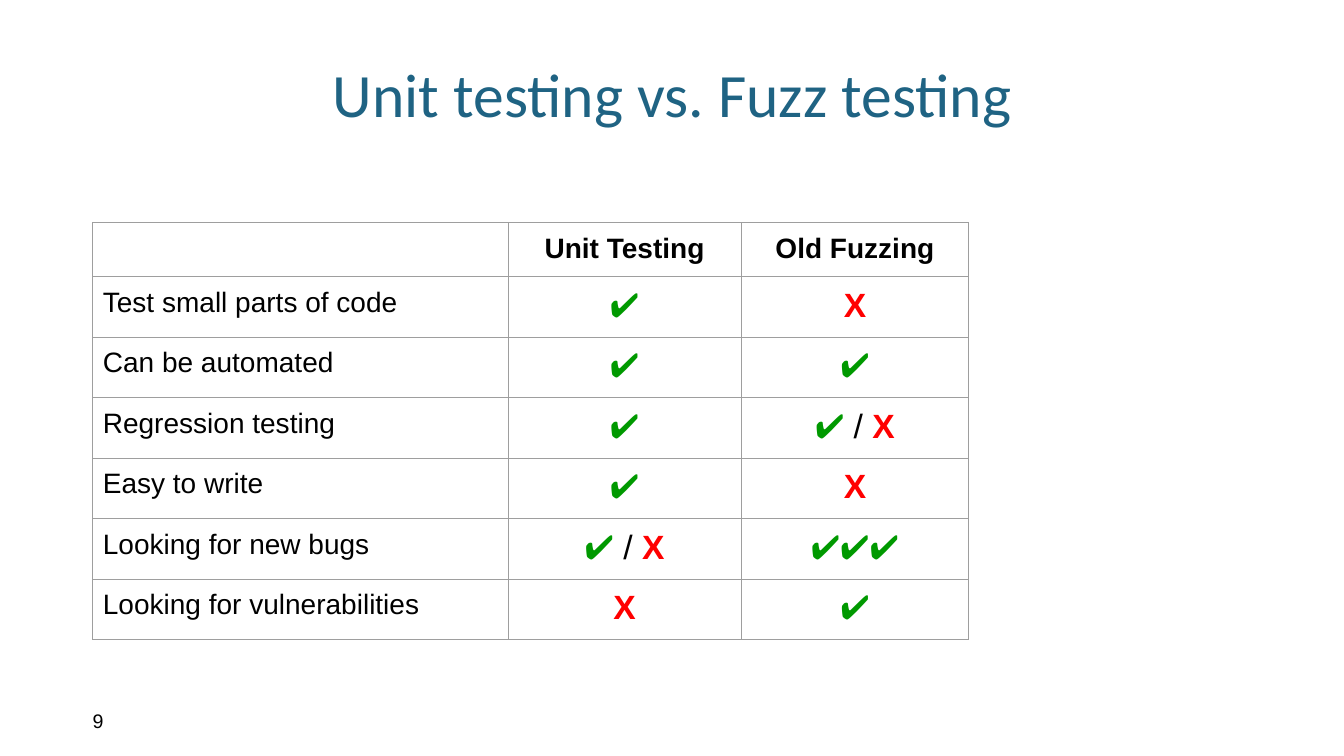
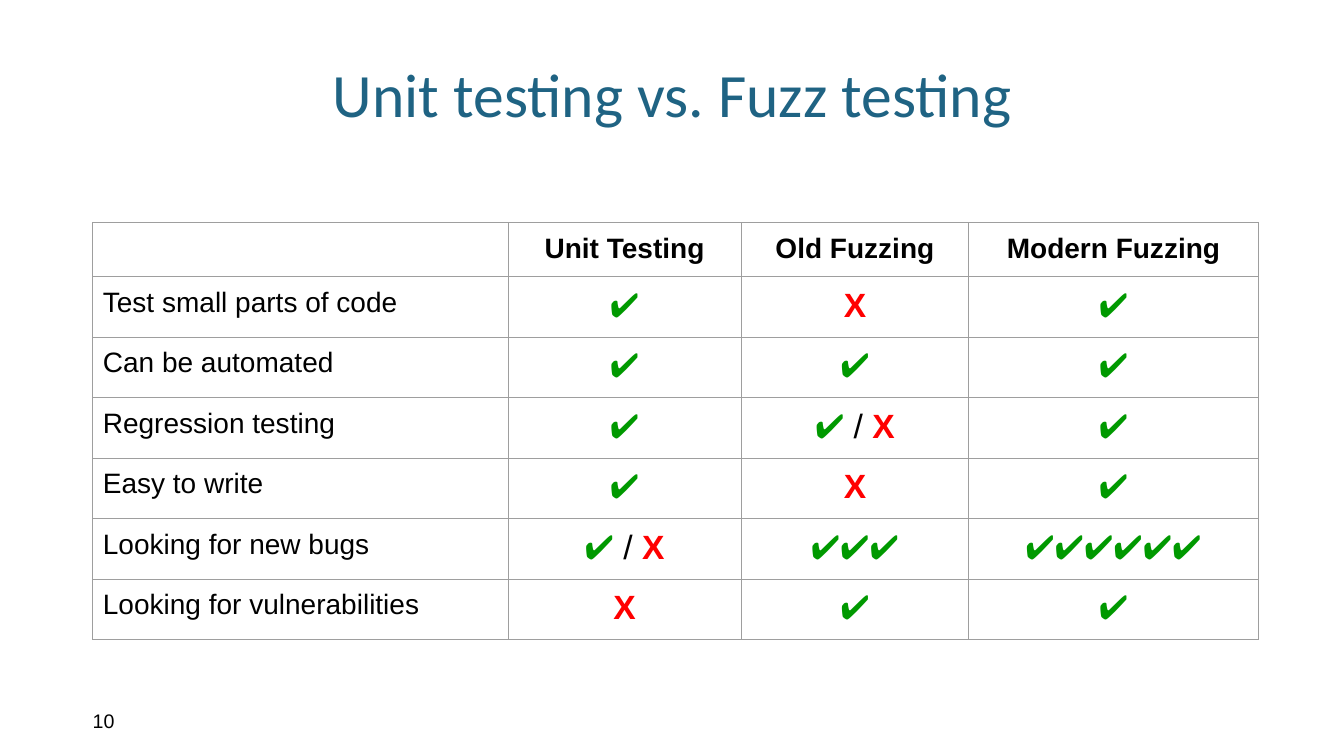
"""Build two slides comparing unit testing with fuzz testing."""
from dataclasses import dataclass
from itertools import groupby

from lxml.etree import SubElement
from pptx import Presentation
from pptx.dml.color import RGBColor
from pptx.enum.text import MSO_ANCHOR as Anchor, MSO_AUTO_SIZE as AutoSize, PP_ALIGN as Align
from pptx.oxml.ns import qn
from pptx.slide import Slide
from pptx.table import _Cell as Cell
from pptx.text.text import Font
from pptx.util import Inches, Pt

TITLE_COLOR = "1F6383"
TEXT_COLOR = "000000"
BORDER_COLOR = "9E9E9E"
MARK_COLORS = {"✔": "009900", "X": "FF0000"}
TITLE_FONT, BODY_FONT = "Calibri", "Arial"

LEFT = 0.92
TABLE_TOP = 2.21
HEADER_HEIGHT, ROW_HEIGHT = 0.5, 0.57
LABEL_WIDTH = 4.12
CELL_MARGIN = 0.1
BORDER_WIDTH = 0.75

CRITERIA = (
    "Test small parts of code",
    "Can be automated",
    "Regression testing",
    "Easy to write",
    "Looking for new bugs",
    "Looking for vulnerabilities",
)


@dataclass(frozen=True)
class Method:
    """A testing method with its column width and one rating per criterion."""
    name: str
    width: float
    ratings: tuple[str, ...]


@dataclass(frozen=True)
class Comparison:
    """One slide: its page number and the methods compared on it."""
    page: int
    methods: tuple[Method, ...]


UNIT = Method("Unit Testing", 2.31, ("✔", "✔", "✔", "✔", "✔ / X", "X"))
OLD_FUZZING = Method("Old Fuzzing", 2.26, ("X", "✔", "✔ / X", "X", "✔✔✔", "✔"))
MODERN_FUZZING = Method("Modern Fuzzing", 2.87, ("✔", "✔", "✔", "✔", "✔✔✔✔✔✔", "✔"))

COMPARISONS = (
    Comparison(9, (UNIT, OLD_FUZZING)),
    Comparison(10, (UNIT, OLD_FUZZING, MODERN_FUZZING)),
)


def rgb(color: str) -> RGBColor:
    """Turn a hex string into a colour."""
    return RGBColor.from_string(color)


def style_font(font: Font, name: str, size: float, color: str, bold: bool = False) -> None:
    """Set the typeface, size, colour and weight of a font."""
    font.name, font.size, font.bold = name, Pt(size), bold
    font.color.rgb = rgb(color)


def add_title(slide: Slide, text: str) -> None:
    """Fill and format the title placeholder."""
    title = slide.shapes.title
    title.left, title.top = Inches(LEFT), Inches(0.64)
    title.width, title.height = Inches(11.5), Inches(1.21)
    frame = title.text_frame
    frame.text = text
    frame.word_wrap, frame.auto_size = True, AutoSize.NONE
    frame.vertical_anchor = Anchor.TOP
    frame.margin_top = 0
    heading = frame.paragraphs[0]
    heading.alignment, heading.line_spacing = Align.CENTER, 0.9
    style_font(heading.font, TITLE_FONT, 44, TITLE_COLOR)


def add_page_number(slide: Slide, page: int) -> None:
    """Write the page number at the lower left."""
    footer = slide.shapes.add_textbox(Inches(LEFT), Inches(6.95), Inches(3), Inches(0.4))
    frame = footer.text_frame
    frame.word_wrap, frame.vertical_anchor = True, Anchor.MIDDLE
    frame.margin_left = 0
    frame.text = str(page)
    style_font(frame.paragraphs[0].font, BODY_FONT, 14, TEXT_COLOR)


def format_cell(cell: Cell) -> None:
    """Give a cell thin borders, even margins and no fill."""
    properties = cell._tc.get_or_add_tcPr()
    for side in ("a:lnL", "a:lnR", "a:lnT", "a:lnB"):
        border = SubElement(properties, qn(side), w=str(Pt(BORDER_WIDTH)))
        SubElement(SubElement(border, qn("a:solidFill")), qn("a:srgbClr"), val=BORDER_COLOR)
    cell.fill.background()
    cell.margin_left = cell.margin_right = Inches(CELL_MARGIN)
    cell.margin_top = cell.margin_bottom = Inches(CELL_MARGIN)


def write_label(cell: Cell, text: str, align: Align = Align.LEFT, bold: bool = False) -> None:
    """Write a heading or criterion into a cell."""
    cell.text = text
    label = cell.text_frame.paragraphs[0]
    label.alignment = align
    style_font(label.font, BODY_FONT, 20, TEXT_COLOR, bold)


def write_rating(cell: Cell, rating: str) -> None:
    """Write a rating, colouring each kind of mark."""
    paragraph = cell.text_frame.paragraphs[0]
    paragraph.alignment = Align.CENTER
    for color, marks in groupby(rating, lambda mark: MARK_COLORS.get(mark, TEXT_COLOR)):
        run = paragraph.add_run()
        run.text = "".join(marks)
        style_font(run.font, BODY_FONT, 24, color, color != TEXT_COLOR)


def add_comparison_table(slide: Slide, methods: tuple[Method, ...]) -> None:
    """Draw the criteria as rows and the methods as columns."""
    widths = [LABEL_WIDTH, *(method.width for method in methods)]
    heights = [HEADER_HEIGHT, *(ROW_HEIGHT for _ in CRITERIA)]
    table = slide.shapes.add_table(
        len(heights), len(widths), Inches(LEFT), Inches(TABLE_TOP),
        Inches(sum(widths)), Inches(sum(heights)),
    ).table
    table.first_row = table.horz_banding = False
    for column, width in zip(table.columns, widths):
        column.width = Inches(width)
    for row, height in zip(table.rows, heights):
        row.height = Inches(height)
    for cell in table.iter_cells():
        format_cell(cell)
    for row, criterion in enumerate(CRITERIA, 1):
        write_label(table.cell(row, 0), criterion)
    for column, method in enumerate(methods, 1):
        write_label(table.cell(0, column), method.name, Align.CENTER, True)
        for row, rating in enumerate(method.ratings, 1):
            write_rating(table.cell(row, column), rating)


def main() -> None:
    """Build and save the presentation."""
    deck = Presentation()
    deck.slide_width, deck.slide_height = Inches(13.33), Inches(7.5)
    title_only = deck.slide_layouts[5]
    for comparison in COMPARISONS:
        slide = deck.slides.add_slide(title_only)
        add_title(slide, "Unit testing vs. Fuzz testing")
        add_page_number(slide, comparison.page)
        add_comparison_table(slide, comparison.methods)
    deck.save("out.pptx")


if __name__ == "__main__":
    main()
